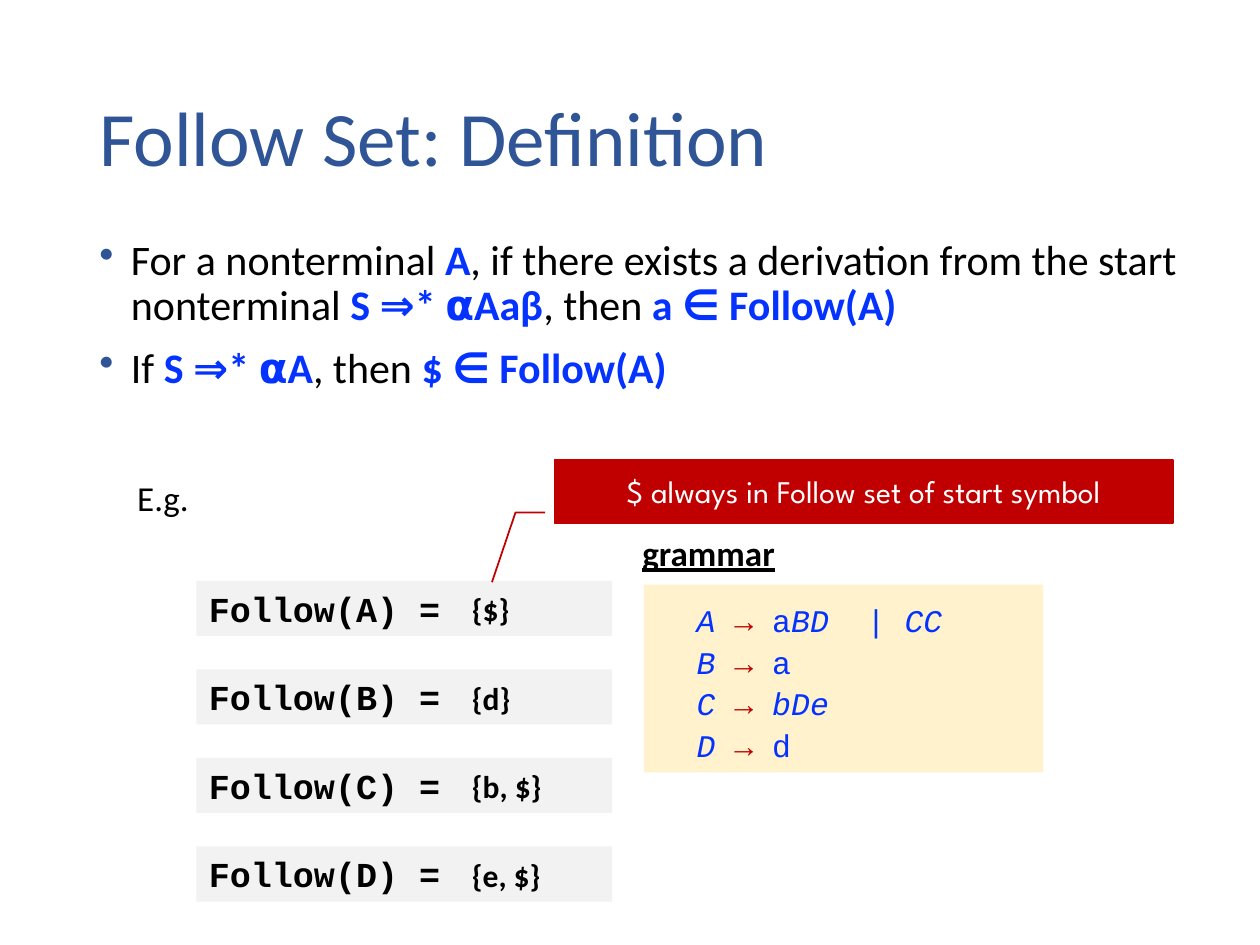
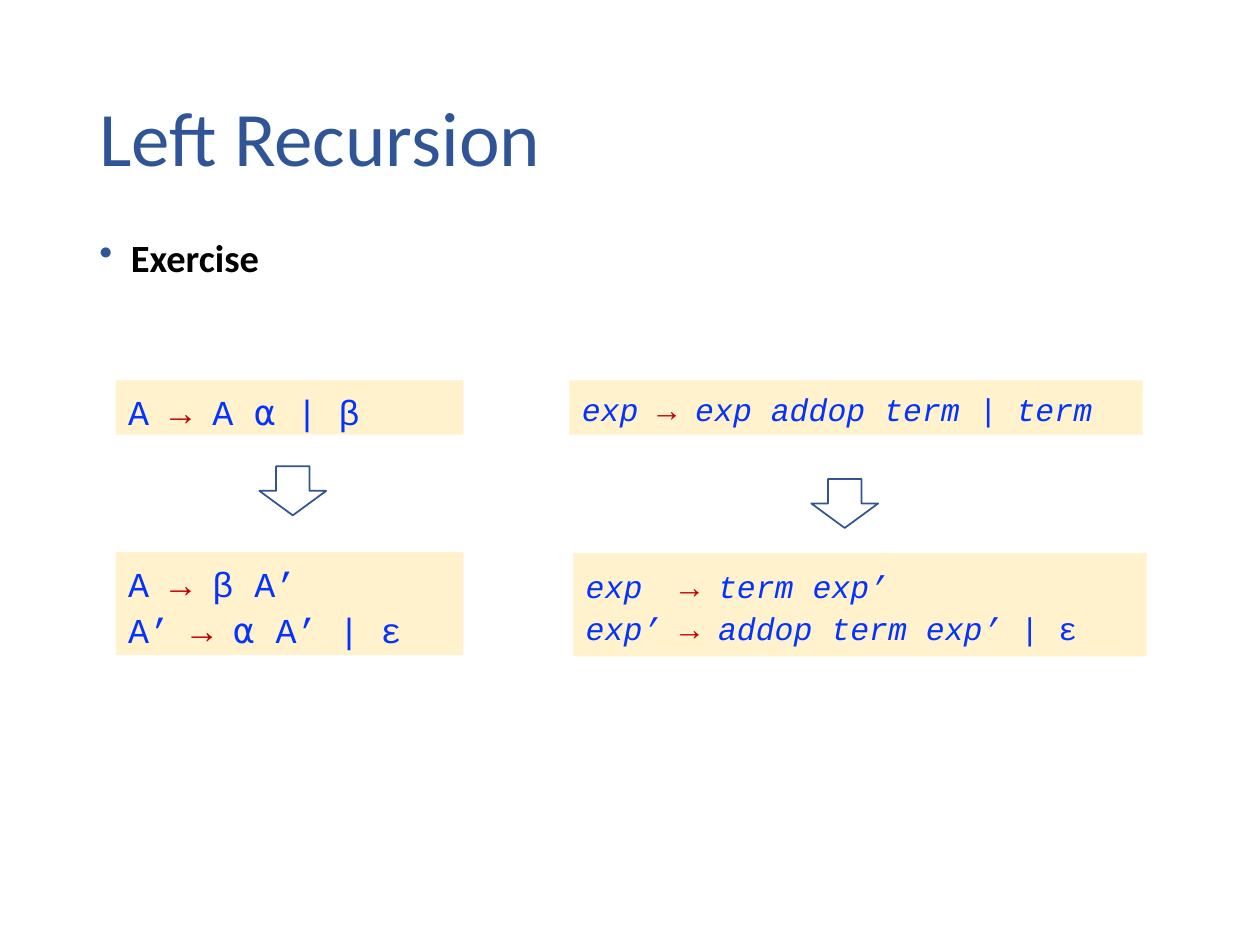
from dataclasses import dataclass
from typing import NamedTuple

from lxml.etree import SubElement
from pptx import Presentation
from pptx.dml.color import RGBColor as Rgb
from pptx.enum.shapes import MSO_SHAPE as Shape
from pptx.enum.text import MSO_ANCHOR as Anchor, PP_ALIGN as Align
from pptx.oxml.ns import qn
from pptx.util import Pt


@dataclass(frozen=True)
class Theme:
    heading: str = "2F5597"
    ink: str = "000000"
    term: str = "0432FF"
    accent: str = "C00000"
    paper: str = "FFFFFF"
    rule_fill: str = "FFF2CC"
    row_fill: str = "F2F2F2"
    arrow_line: str = "325491"
    body_font: str = "Calibri"
    code_font: str = "Courier New"
    callout_font: str = "League Spartan"
    title_size: int = 44
    body_size: int = 24
    exercise_size: int = 22
    label_size: int = 20
    small_size: int = 18


class Box(NamedTuple):
    left: float
    top: float
    width: float
    height: float

    def inner(self, dx, dy, width, height):
        return Box(self.left + dx, self.top + dy, width, height)


THEME = Theme()
TITLE_BOX = Box(49.7, 28.8, 620.6, 104.4)
BODY_BOX = Box(49.7, 133.2, 670.3, 103)


# Shared building blocks
def set_font(font, size, color, name=THEME.body_font, bold=None):
    font.name, font.size, font.bold = name, Pt(size), bold
    font.color.rgb = Rgb.from_string(color)


def add_text_box(slide, box):
    frame = slide.shapes.add_textbox(*map(Pt, box)).text_frame
    frame.word_wrap = True
    return frame


def add_label(slide, box, text, size=THEME.label_size, bold=None, underline=None):
    line = add_text_box(slide, box).paragraphs[0]
    line.text = text
    set_font(line.font, size, THEME.ink, bold=bold)
    line.font.underline = underline


def add_panel(slide, box, fill=None, outline=None, kind=Shape.RECTANGLE):
    panel = slide.shapes.add_shape(kind, *map(Pt, box))
    panel.shadow.inherit = False
    if fill:
        panel.fill.solid()
        panel.fill.fore_color.rgb = Rgb.from_string(fill)
    else:
        panel.fill.background()
    if outline:
        panel.line.color.rgb = Rgb.from_string(outline)
        panel.line.width = Pt(1)
    else:
        panel.line.fill.background()
    panel.text_frame.word_wrap = True
    return panel


def paragraphs_for(frame, lines):
    """Yield a paragraph with each line, reusing the first one of the frame."""
    for index, line in enumerate(lines):
        yield (frame.add_paragraph() if index else frame.paragraphs[0]), line


def marked_parts(line):
    """Split a line at underscores into (text, is marked) pairs."""
    return [(part, index % 2 == 1)
            for index, part in enumerate(line.split("_")) if part]


def add_title(slide, text):
    frame = add_text_box(slide, TITLE_BOX)
    frame.vertical_anchor = Anchor.MIDDLE
    title = frame.paragraphs[0]
    title.text = text
    title.line_spacing = 0.9
    set_font(title.font, THEME.title_size, THEME.heading)


def add_bullets(slide, lines, size=THEME.body_size, bold=None):
    """Marked parts are bold terms in blue."""
    for index, (bullet, line) in enumerate(
            paragraphs_for(add_text_box(slide, BODY_BOX), lines)):
        props = bullet._p.get_or_add_pPr()
        props.set("marL", str(Pt(18)))
        props.set("indent", str(Pt(-18)))
        SubElement(SubElement(props, qn("a:buClr")), qn("a:srgbClr"), val=THEME.heading)
        SubElement(props, qn("a:buChar"), char="•")
        bullet.line_spacing = 0.9
        bullet.space_before = Pt(10 if index else 0)
        set_font(bullet.font, size, THEME.ink, bold=bold)
        for text, is_term in marked_parts(line):
            run = bullet.add_run()
            run.text = text
            if is_term:
                run.font.bold = True
                run.font.color.rgb = Rgb.from_string(THEME.term)


def add_rules(slide, box, rules, size=THEME.small_size, inset=(7.2, 3.6),
              tab=None, anchor=Anchor.TOP):
    """Grammar rules on a panel: marked parts are italic, arrows red."""
    frame = add_panel(slide, box, THEME.rule_fill).text_frame
    frame.vertical_anchor = anchor
    frame.margin_left, frame.margin_top = map(Pt, inset)
    for rule, line in paragraphs_for(frame, rules):
        if tab:
            stops = SubElement(rule._p.get_or_add_pPr(), qn("a:tabLst"))
            SubElement(stops, qn("a:tab"), pos=str(Pt(tab)), algn="l")
        rule.alignment = Align.LEFT
        rule.line_spacing = 1.1
        set_font(rule.font, size, THEME.term, THEME.code_font)
        for part, is_italic in marked_parts(line):
            for text in filter(None, part.partition("→")):
                run = rule.add_run()
                run.text = text
                run.font.italic = is_italic
                if text == "→":
                    run.font.color.rgb = Rgb.from_string(THEME.accent)


# Follow set regions
def add_follow_sets(slide, box, follow_sets):
    pitch, row_height = 50.6, 31.5
    for index, (symbol, members) in enumerate(follow_sets.items()):
        row = box.inner(0, index * pitch, box.width, row_height)
        frame = add_panel(slide, row, THEME.row_fill).text_frame
        frame.vertical_anchor = Anchor.TOP
        name = frame.paragraphs[0]
        name.text = f"Follow({symbol}) ="
        name.alignment = Align.LEFT
        set_font(name.font, THEME.label_size, THEME.ink, THEME.code_font, bold=True)
        add_label(slide, row.inner(150.3, 1.8, 72, 29), members,
                  THEME.small_size, bold=True)


def add_callout(slide, box, text):
    callout = add_panel(slide, box, THEME.accent, THEME.accent, Shape.LINE_CALLOUT_2)
    # Pointer corners as y, x fractions of the box
    for index, value in enumerate((0.834, -0.015, 0.837, -0.063, 1.943, -0.101)):
        callout.adjustments[index] = value
    callout.text_frame.vertical_anchor = Anchor.MIDDLE
    remark = callout.text_frame.paragraphs[0]
    remark.text = text
    remark.alignment = Align.CENTER
    set_font(remark.font, THEME.small_size, THEME.paper, THEME.callout_font)


# Left recursion region
def add_rewrite(slide, box, before, after, arrow_at, after_at, size,
                tab=None, anchor=Anchor.TOP):
    """Rules before, a down arrow, and the rules after the rewrite."""
    add_rules(slide, box.inner(0, 0, box.width, 31), before, size)
    arrow = add_panel(slide, box.inner(*arrow_at, 28, 38.2),
                      outline=THEME.arrow_line, kind=Shape.RIGHT_ARROW)
    arrow.rotation = 90
    add_rules(slide, box.inner(*after_at, box.width, 59), after, size,
              tab=tab, anchor=anchor)


# Slides
def build_follow_slide(slide):
    add_title(slide, "Follow Set: Definition")
    add_bullets(slide, [
        "For a nonterminal _A_, if there exists a derivation from the start "
        "nonterminal _S ⇒* ⍺Aaβ_, then _a ∈ Follow(A)_",
        "If_ S ⇒* ⍺A_, then _$ ∈ Follow(A)_",
    ])
    add_label(slide, Box(71.3, 268.6, 60, 31.5), "E.g.")
    add_label(slide, Box(360, 300.2, 100, 31.5), "grammar", bold=True, underline=True)
    add_rules(slide, Box(367.9, 334.1, 228.2, 107.3),
              ["_A_ → a_BD_\t| _CC_", "_B_ → a", "_C_ → _bDe_", "_D_ → d"],
              inset=(30.2, 7.2), tab=97.2)
    add_follow_sets(slide, Box(112.3, 331.9, 237.6, 183.3),
                    {"A": "{$}", "B": "{d}", "C": "{b, $}", "D": "{e, $}"})
    add_callout(slide, Box(316.8, 262.8, 353.5, 36),
                "$ always in Follow set of start symbol")


def build_recursion_slide(slide):
    add_title(slide, "Left Recursion")
    add_bullets(slide, ["Exercise"], THEME.exercise_size, bold=True)
    add_rewrite(slide, Box(66.2, 217.4, 198.7, 157),
                ["A → A ⍺ | β"], ["A → β A’", "A’ → ⍺ A’ | ε"],
                arrow_at=(87.1, 44), after_at=(0, 98), size=THEME.label_size)
    add_rewrite(slide, Box(325.4, 217.4, 327.6, 157.7),
                ["_exp_ → _exp addop term_ | _term_"],
                ["_exp_\t→ _term exp’_", "_exp’_\t→ _addop term exp’_ | ε"],
                arrow_at=(143.3, 51.2), after_at=(2.2, 98.7),
                size=THEME.small_size, tab=54, anchor=Anchor.MIDDLE)


def main():
    deck = Presentation()
    deck.slide_width, deck.slide_height = Pt(720), Pt(540)
    blank = deck.slide_layouts[6]
    for build in (build_follow_slide, build_recursion_slide):
        build(deck.slides.add_slide(blank))
    deck.save("out.pptx")


if __name__ == "__main__":
    main()
